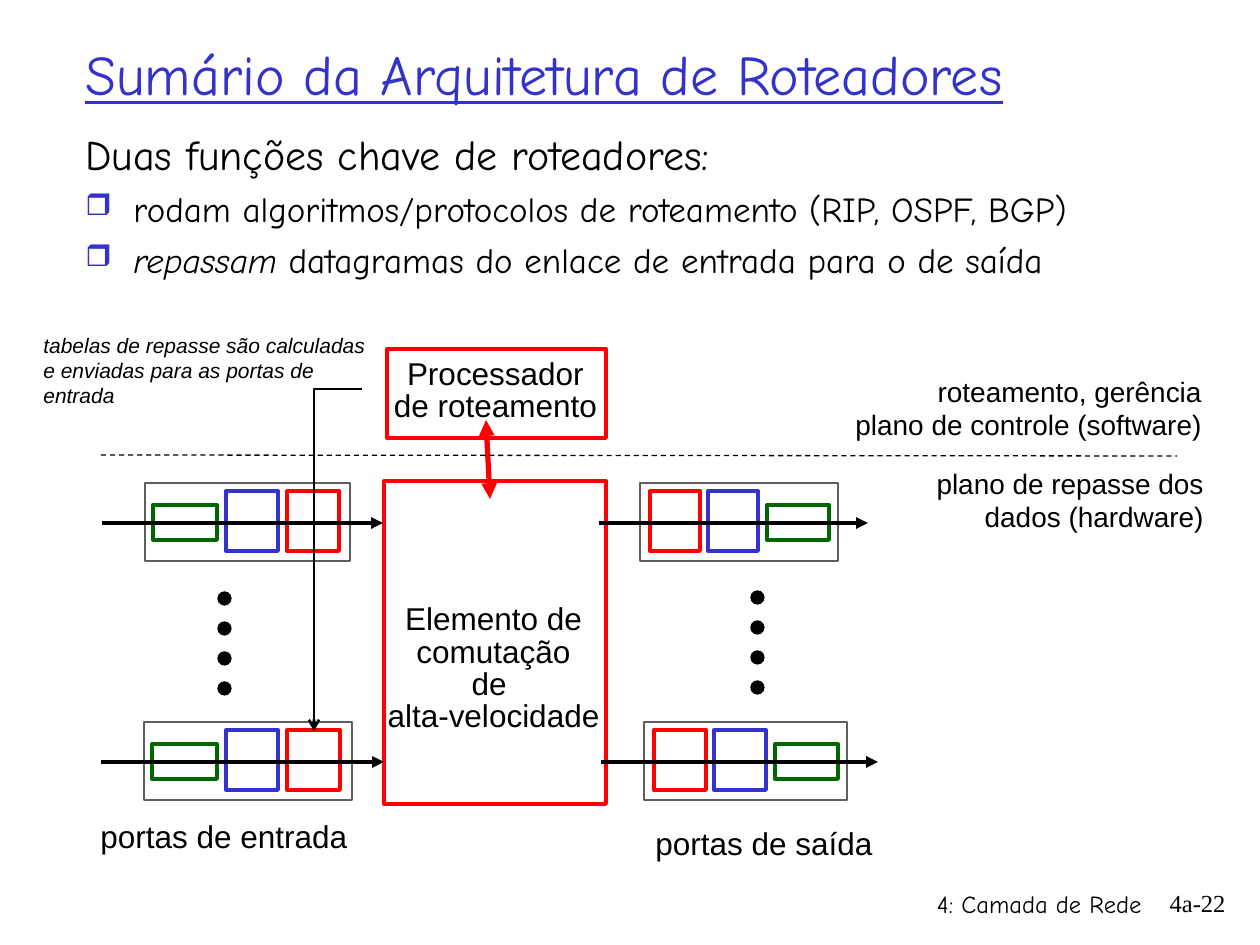
"""Build the router architecture summary slide."""
from dataclasses import dataclass, field

from lxml import etree
from pptx import Presentation
from pptx import util as u
from pptx.dml.color import RGBColor
from pptx.enum import dml, shapes, text
from pptx.oxml import ns

COLORS = {"black": "000000", "white": "FFFFFF", "red": "FF0000",
          "blue": "3333CC", "green": "006600", "gray": "5F5F5F"}
LEFT, CENTER, RIGHT = text.PP_ALIGN.LEFT, text.PP_ALIGN.CENTER, text.PP_ALIGN.RIGHT
RECT, OVAL = shapes.MSO_SHAPE.RECTANGLE, shapes.MSO_SHAPE.OVAL
STRAIGHT, ELBOW = shapes.MSO_CONNECTOR.STRAIGHT, shapes.MSO_CONNECTOR.ELBOW
COMIC = "Comic Neue"
BODY = {"name": COMIC, "size": u.Pt(20)}
INDENT = 48


@dataclass
class Label:
    box: tuple[int, int, int, int]
    lines: list[str]
    size: int
    name: str = "Arial"
    color: str = "black"
    align: text.PP_ALIGN = LEFT
    wrap: bool = True
    spacing: float = 1.0
    anchor: text.MSO_ANCHOR = text.MSO_ANCHOR.TOP
    style: dict[str, bool] = field(default_factory=dict)


@dataclass
class Port:
    axis: int
    frame: tuple[int, int]
    green: tuple[int, int]
    blue: tuple[int, int]
    red: tuple[int, int]
    arrow: tuple[int, int]


@dataclass
class Dots:
    x: int
    y: int


PORTS = [
    Port(523, (145, 205), (153, 64), (226, 52), (287, 52), (102, 383)),
    Port(762, (144, 208), (152, 65), (226, 52), (287, 53), (101, 384)),
    Port(523, (640, 198), (767, 62), (708, 50), (650, 50), (599, 868)),
    Port(762, (644, 203), (775, 63), (714, 52), (654, 52), (601, 878)),
]
DOTS = [Dots(218, 592), Dots(751, 591)]

HEADINGS = [
    Label((755, 883, 399, 63), ["4: Camada de Rede"], 14, COMIC, align=RIGHT),
    Label((1125, 882, 113, 63), ["4a-22"], 14, "Times New Roman", align=RIGHT),
    Label((73, -6, 1071, 158), ["Sumário da Arquitetura de Roteadores"], 32, COMIC,
          "blue", anchor=text.MSO_ANCHOR.MIDDLE, style={"underline": True}),
]
DIAGRAM_LABELS = [
    Label((374, 599, 239, 142), ["Elemento de", "comutação", "de ", "alta-velocidade"],
          18, align=CENTER, wrap=False, spacing=0.85),
    Label((381, 354, 229, 78), ["Processador de roteamento"], 18, align=CENTER, spacing=0.85),
    Label((88, 811, 275, 50), ["portas de entrada"], 18, wrap=False),
    Label((643, 818, 244, 50), ["portas de saída"], 18, wrap=False),
    Label((915, 460, 301, 81), ["plano de repasse dos dados (hardware)"], 16, align=RIGHT),
    Label((806, 368, 408, 81), ["roteamento, gerência", "plano de controle (software)"],
          16, align=RIGHT),
    Label((31, 326, 354, 89), ["tabelas de repasse são calculadas",
                               "e enviadas para as portas de entrada"],
          12, style={"italic": True}),
]


def px(n: int) -> u.Emu:
    """Turn pixels into EMU."""
    return u.Emu(round(n * 914400 / 126))


def rgb(name: str) -> RGBColor:
    """Look a colour up by name."""
    return RGBColor.from_string(COLORS[name])


def add_run(p, words: str, fmt: dict, color: str = "black") -> None:
    """Append a formatted run to a paragraph."""
    r = p.add_run()
    r.text = words
    for key, value in fmt.items():
        setattr(r.font, key, value)
    r.font.color.rgb = rgb(color)


def add_frame(s, box: tuple[int, int, int, int], wrap: bool = True):
    """Add a text box and return its text frame."""
    tf = s.shapes.add_textbox(*map(px, box)).text_frame
    tf.word_wrap = wrap
    return tf


def add_label(s, label: Label) -> None:
    """Draw a label, one paragraph for each line."""
    tf = add_frame(s, label.box, label.wrap)
    tf.vertical_anchor = label.anchor
    fmt = {"name": label.name, "size": u.Pt(label.size), **label.style}
    for i, line in enumerate(label.lines):
        p = tf.add_paragraph() if i else tf.paragraphs[0]
        for key, value in {"alignment": label.align, "line_spacing": label.spacing}.items():
            setattr(p, key, value)
        add_run(p, line, fmt, label.color)


def add_bullet(p) -> None:
    """Give a paragraph a hanging blue box bullet."""
    pPr = p._p.get_or_add_pPr()
    pPr.set("marL", str(px(INDENT)))
    pPr.set("indent", str(-px(INDENT)))
    clr = etree.SubElement(pPr, ns.qn("a:buClr"))
    etree.SubElement(clr, ns.qn("a:srgbClr"), val=COLORS["blue"])
    etree.SubElement(pPr, ns.qn("a:buSzPct"), val="85000")
    etree.SubElement(pPr, ns.qn("a:buChar"), char="❒")


def add_body(s) -> None:
    """Draw the lead sentence and its two bullets."""
    tf = add_frame(s, (73, 122, 1104, 173))
    items = [
        [("Duas funções chave de roteadores:", {"size": u.Pt(24)})],
        [("rodam algoritmos/protocolos de roteamento (RIP, OSPF, BGP)", {})],
        [("repassam ", {"italic": True}),
         ("datagramas do enlace de entrada para o de saída", {})],
    ]
    for i, runs in enumerate(items):
        p = tf.add_paragraph() if i else tf.paragraphs[0]
        p.space_before = u.Pt(5)
        if i:
            add_bullet(p)
        for words, extra in runs:
            add_run(p, words, {**BODY, **extra})


def add_box(s, box: tuple[int, int, int, int], line: str, width: float = 2.25,
            fill: str = "white", kind: shapes.MSO_SHAPE = RECT) -> None:
    """Draw an outlined shape."""
    sp = s.shapes.add_shape(kind, *map(px, box))
    sp.shadow.inherit = False
    sp.fill.solid()
    sp.fill.fore_color.rgb = rgb(fill)
    sp.line.color.rgb = rgb(line)
    sp.line.width = u.Pt(width)


def add_line(s, ends: tuple[int, int, int, int], width: float, color: str = "black",
             heads: dict[str, str] | None = None, kind: shapes.MSO_CONNECTOR = STRAIGHT):
    """Draw a connector with optional arrowheads."""
    sp = s.shapes.add_connector(kind, *map(px, ends))
    sp.line.color.rgb = rgb(color)
    sp.line.width = u.Pt(width)
    for end, head in (heads or {}).items():
        etree.SubElement(sp.line._get_or_add_ln(), ns.qn(f"a:{end}"), type=head)
    etree.SubElement(sp._element.spPr, ns.qn("a:effectLst"))
    return sp


def add_port(s, port: Port) -> None:
    """Draw a port: frame, three stages and the arrow through them."""
    stages = [(port.frame, 40, 78, "gray", 1.5), (port.green, 18, 35, "green", 2.25),
              (port.blue, 32, 60, "blue", 2.25), (port.red, 32, 60, "red", 2.25)]
    for (x, w), rise, h, color, width in stages:
        add_box(s, (x, port.axis - rise, w, h), color, width)
    start, end = port.arrow
    add_line(s, (start, port.axis, end, port.axis), 2.25, heads={"tailEnd": "triangle"})


def add_dots(s, dots: Dots) -> None:
    """Draw a column of four dots."""
    for i in range(4):
        add_box(s, (dots.x, dots.y + 30 * i, 13, 13), "black", 0.75, "black", OVAL)


def main() -> None:
    """Build and save the slide."""
    prs = Presentation()
    prs.slide_width, prs.slide_height = px(1260), px(945)
    s = prs.slides.add_slide(prs.slide_layouts[6])
    for label in HEADINGS:
        add_label(s, label)
    add_body(s)
    add_box(s, (384, 481, 222, 323), "red")
    add_box(s, (387, 349, 219, 89), "red")
    for port in PORTS:
        add_port(s, port)
    for dots in DOTS:
        add_dots(s, dots)
    for label in DIAGRAM_LABELS:
        add_label(s, label)
    add_line(s, (486, 420, 490, 499), 3, "red", {"headEnd": "triangle", "tailEnd": "triangle"})
    add_line(s, (101, 455, 1177, 456), 0.75).line.dash_style = dml.MSO_LINE.DASH
    elbow = add_line(s, (362, 389, 314, 731), 1.5, heads={"tailEnd": "arrow"}, kind=ELBOW)
    elbow._element.spPr.find(ns.qn("a:prstGeom")).set("prst", "bentConnector2")
    prs.save("out.pptx")


if __name__ == "__main__":
    main()
